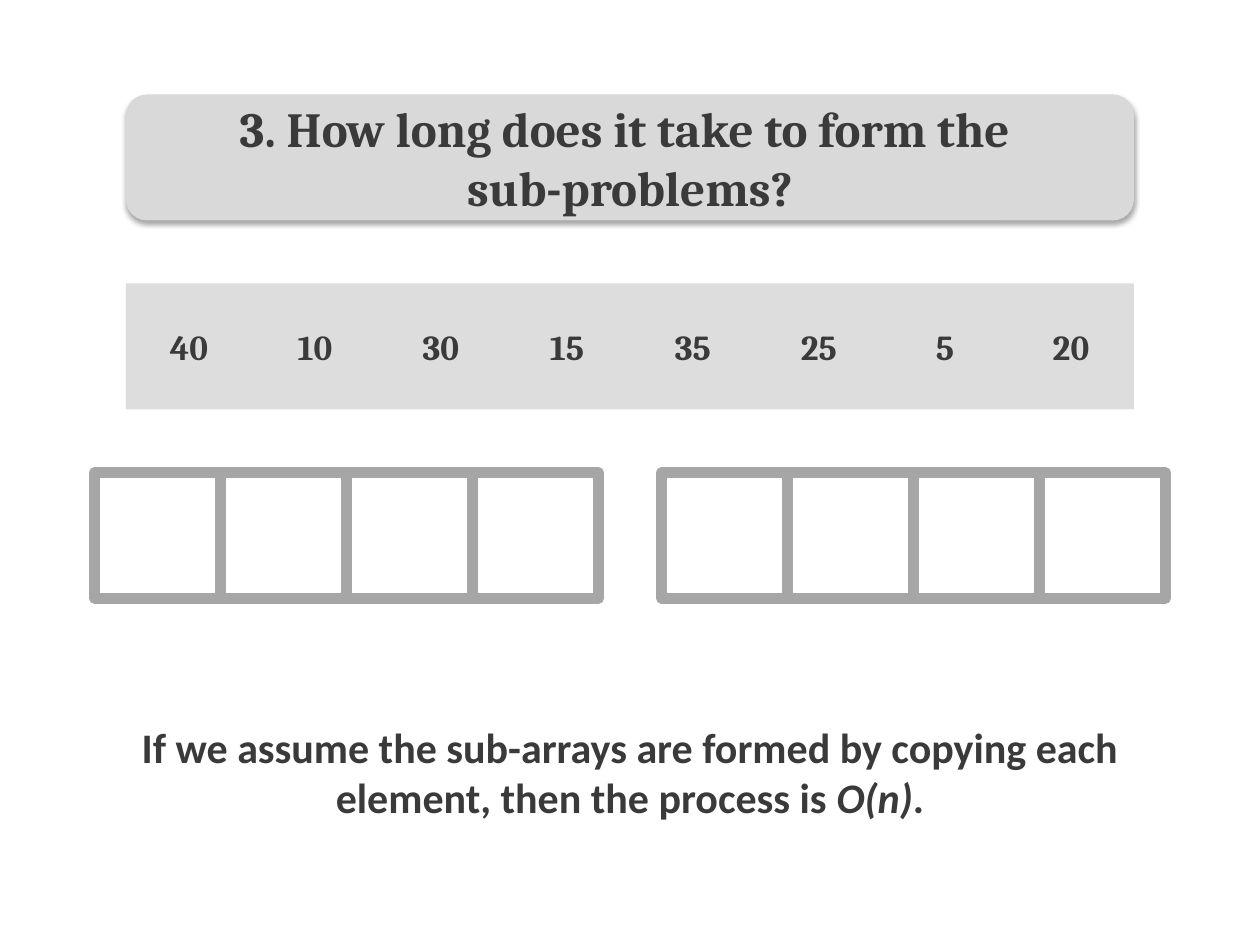
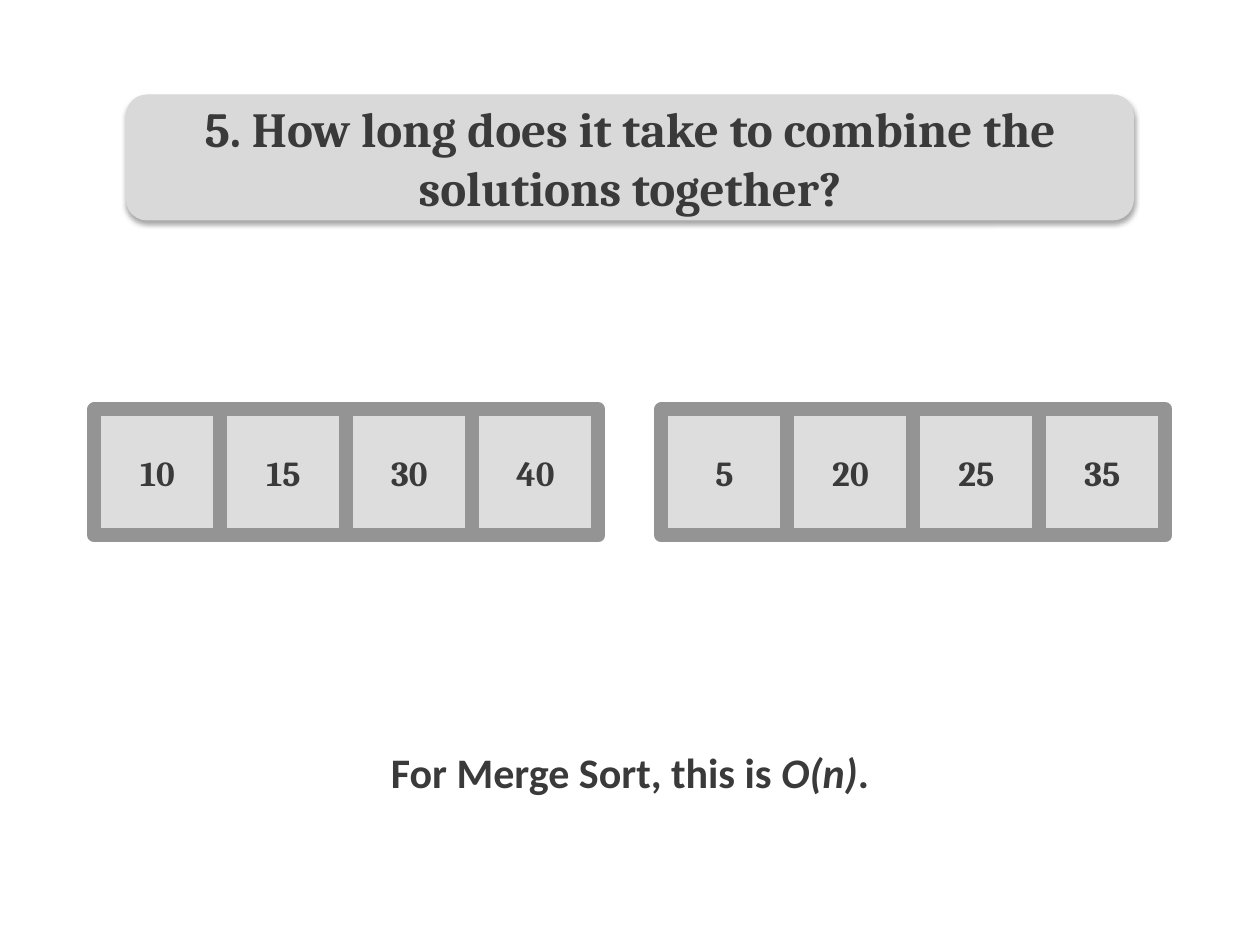
"""Two slides on the running time of merge sort."""
from lxml import etree
from pptx import Presentation
from pptx import util as u
from pptx.dml.color import RGBColor
from pptx.enum import shapes, text
from pptx.oxml.ns import qn

COLORS = {
    "ink": "3A3A3A",
    "band": "D9D9D9",
    "cell": "DDDDDD",
    "empty_frame": "A6A6A6",
    "solved_frame": "949494",
    "shadow": "000000",
}
HEADING_FONT, BODY_FONT = "Cambria", "Calibri"
UNIT = 0.25  # grid step in inches: the slide is 40 columns by 30 rows
CELL = 4     # side of an array cell in grid steps
HALF = 4     # cells in one sub-array
LEFT_HALF, RIGHT_HALF = 3, 21  # first columns of the sub-arrays
TITLE_BOX = (4, 3, 32, 4)
ANSWER_BOX = (4, 19, 32, 11)


def grid(*steps):
    """Turn grid steps into lengths."""
    return [u.Inches(step * UNIT) for step in steps]


def color(name):
    """Look up a colour of the palette."""
    return RGBColor.from_string(COLORS[name])


def write(frame, lines, font, size):
    """Fill a text frame; each line is a list of (words, italic) runs."""
    frame.word_wrap = True
    frame.auto_size = text.MSO_AUTO_SIZE.NONE
    frame.vertical_anchor = text.MSO_ANCHOR.MIDDLE
    for index, line in enumerate(lines):
        paragraph = frame.add_paragraph() if index else frame.paragraphs[0]
        paragraph.alignment = text.PP_ALIGN.CENTER
        paragraph.space_before = u.Pt(0)
        for words, italic in line:
            run = paragraph.add_run()
            run.text = words
            run.font.name, run.font.size = font, u.Pt(size)
            run.font.bold, run.font.italic = True, italic
            run.font.color.rgb = color("ink")


def place(placeholder, box):
    """Move a placeholder to a box of the grid."""
    (placeholder.left, placeholder.top,
     placeholder.width, placeholder.height) = grid(*box)


def add_block(slide, kind, box, fill=None, frame=None, weight=0):
    """Add a preset shape with an optional fill and outline."""
    block = slide.shapes.add_shape(kind, *grid(*box))
    block.shadow.inherit = False
    if fill:
        block.fill.solid()
        block.fill.fore_color.rgb = color(fill)
    else:
        block.fill.background()
    if frame:
        block.line.color.rgb = color(frame)
        block.line.width = u.Pt(weight)
    else:
        block.line.fill.background()
    return block


def add_drop_shadow(block):
    """Give a shape a soft shadow that falls straight down."""
    effects = block.element.spPr.find(qn("a:effectLst"))
    shadow = etree.SubElement(
        effects, qn("a:outerShdw"), blurRad=str(u.Pt(3.1)),
        dist=str(u.Pt(1.8)), dir="5400000", rotWithShape="0")
    tint = etree.SubElement(shadow, qn("a:srgbClr"), val=COLORS["shadow"])
    etree.SubElement(tint, qn("a:alpha"), val="35000")


def add_question(slide, lines):
    """Set the slide title on a rounded band."""
    title = slide.shapes.title
    band = add_block(slide, shapes.MSO_SHAPE.ROUNDED_RECTANGLE,
                     TITLE_BOX, fill="band")
    add_drop_shadow(band)
    title.element.addprevious(band.element)
    place(title, TITLE_BOX)
    write(title.text_frame, [[(line, False)] for line in lines],
          HEADING_FONT, 28)


def add_answer(slide, lead):
    """Write the answer, which ends in O(n), in the body placeholder."""
    answer = slide.placeholders[1]
    place(answer, ANSWER_BOX)
    write(answer.text_frame, [[(lead, False), ("O(n)", True), (".", False)]],
          BODY_FONT, 24)
    for paragraph in answer.text_frame.paragraphs:
        layout = paragraph._p.get_or_add_pPr()
        layout.set("marL", "0")
        layout.set("indent", "0")
        etree.SubElement(layout, qn("a:buNone"))


def cell_boxes(column, row, count):
    """Boxes of neighbouring array cells."""
    return [(column + i * CELL, row, CELL, CELL) for i in range(count)]


def add_values(slide, column, row, values):
    """Add a row of filled cells with their numbers."""
    for box, value in zip(cell_boxes(column, row, len(values)), values):
        cell = add_block(slide, shapes.MSO_SHAPE.RECTANGLE, box, fill="cell")
        write(cell.text_frame, [[(str(value), False)]], HEADING_FONT, 20)


def add_frames(slide, row, frame, weight):
    """Outline the cells of both sub-arrays."""
    for column in (LEFT_HALF, RIGHT_HALF):
        for box in cell_boxes(column, row, HALF):
            add_block(slide, shapes.MSO_SHAPE.RECTANGLE, box,
                      frame=frame, weight=weight)


def add_slide(deck, question, answer):
    """Add a slide with its question and answer."""
    slide = deck.slides.add_slide(deck.slide_layouts[1])
    add_question(slide, question)
    add_answer(slide, answer)
    return slide


def main():
    """Build and save the deck."""
    deck = Presentation()
    deck.slide_width, deck.slide_height = grid(40, 30)

    forming = add_slide(
        deck, ["3. How long does it take to form the ", "sub-problems?"],
        "If we assume the sub-arrays are formed by copying each element, "
        "then the process is ")
    add_values(forming, 4, 9, [40, 10, 30, 15, 35, 25, 5, 20])
    add_frames(forming, 15, "empty_frame", 6)

    combining = add_slide(
        deck, ["5. How long does it take to combine the solutions together?"],
        "For Merge Sort, this is ")
    add_values(combining, LEFT_HALF, 13, [10, 15, 30, 40])
    add_values(combining, RIGHT_HALF, 13, [5, 20, 25, 35])
    add_frames(combining, 13, "solved_frame", 8)

    deck.save("out.pptx")


main()
